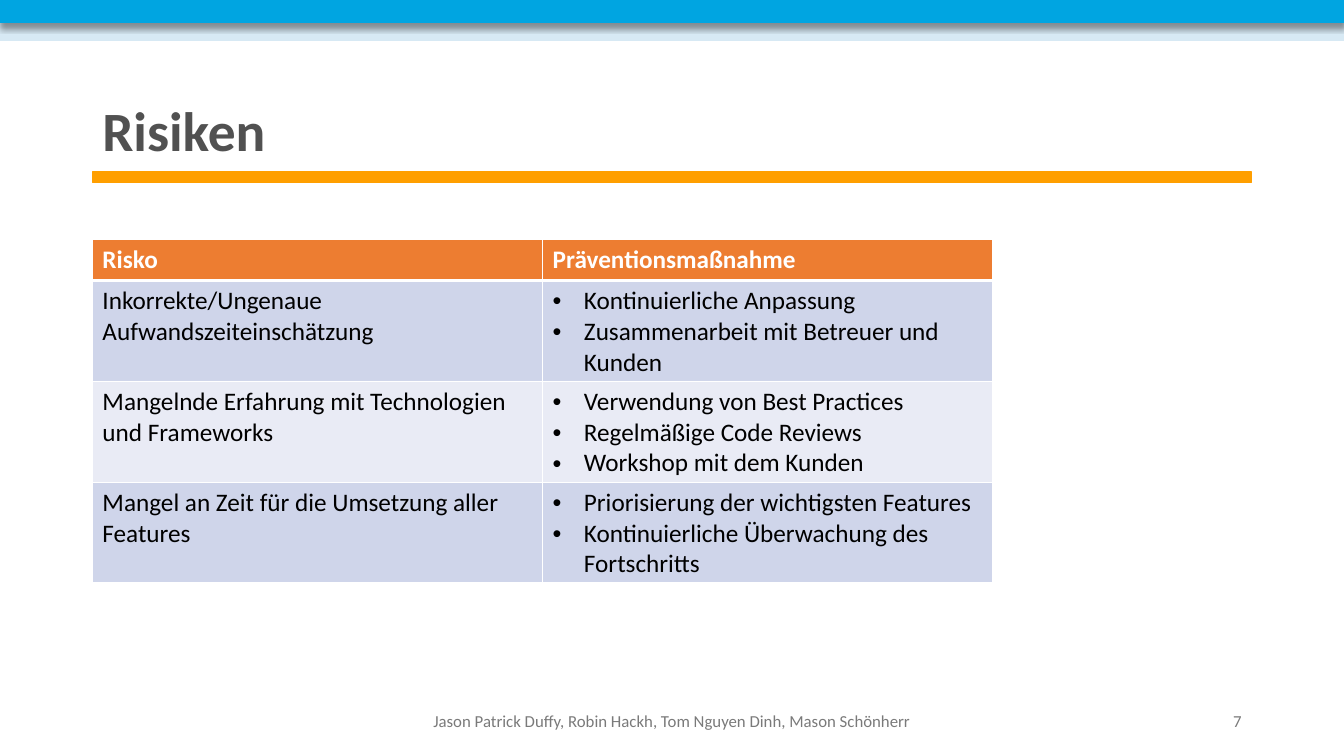
"""Build the risk slide with its table of preventive measures."""
from dataclasses import dataclass

from lxml.etree import SubElement
from pptx import Presentation
from pptx.dml.color import RGBColor
from pptx.enum.shapes import MSO_SHAPE
from pptx.enum.text import MSO_ANCHOR, PP_ALIGN
from pptx.oxml.ns import qn
from pptx.util import Inches, Pt

COLUMNS, ROWS = 160, 90
WIDTH, HEIGHT = Inches(13.33), Inches(7.5)


@dataclass(frozen=True)
class Theme:
    """Hold the font, colours and type sizes of the slide."""
    font: str = "Calibri"
    blue: str = "00A5E1"
    pale_blue: str = "D7E9F4"
    amber: str = "FF9F00"
    title: str = "515151"
    footer: str = "7A7A7A"
    header: str = "ED7D31"
    bands: tuple = ("CFD5EA", "E9EBF5")
    white: str = "FFFFFF"
    black: str = "000000"
    title_size: float = 39.6
    table_size: float = 18
    footer_size: float = 12


THEME = Theme()
HEADINGS = ("Risko", "Präventionsmaßnahme")
RISKS = (
    ("Inkorrekte/Ungenaue Aufwandszeiteinschätzung",
     ("Kontinuierliche Anpassung", "Zusammenarbeit mit Betreuer und Kunden")),
    ("Mangelnde Erfahrung mit Technologien und Frameworks",
     ("Verwendung von Best Practices", "Regelmäßige Code Reviews", "Workshop mit dem Kunden")),
    ("Mangel an Zeit für die Umsetzung aller Features",
     ("Priorisierung der wichtigsten Features", "Kontinuierliche Überwachung des Fortschritts")),
)


def across(columns):
    """Turn grid columns into a length."""
    return round(WIDTH * columns / COLUMNS)


def down(rows):
    """Turn grid rows into a length."""
    return round(HEIGHT * rows / ROWS)


def place(left, top, width, height):
    """Turn a grid area into position and size."""
    return across(left), down(top), across(width), down(height)


def apply_format(target, values):
    """Set each attribute of the target from the values."""
    for name, value in values.items():
        setattr(target, name, value)


def write_paragraph(paragraph, text, size, color, bold=False, **values):
    """Write one formatted run into the paragraph."""
    apply_format(paragraph, values)
    run = paragraph.add_run()
    run.text = text
    apply_format(run.font, {"name": THEME.font, "size": Pt(size), "bold": bold})
    run.font.color.rgb = RGBColor.from_string(color)


def add_bar(slide, area, color):
    """Add a plain coloured bar."""
    bar = slide.shapes.add_shape(MSO_SHAPE.RECTANGLE, *place(*area))
    bar.shadow.inherit = False
    bar.fill.solid()
    bar.fill.fore_color.rgb = RGBColor.from_string(color)
    bar.line.color.rgb = RGBColor.from_string(color)
    bar.line.width = Pt(1)
    return bar


def add_shadow(shape):
    """Cast a soft black shadow below the shape."""
    effects = shape._element.spPr.find(qn("a:effectLst"))
    shadow = SubElement(effects, qn("a:outerShdw"), blurRad=str(Pt(4)), dist=str(Pt(3)),
                        dir="5400000", algn="t", rotWithShape="0")
    color = SubElement(shadow, qn("a:srgbClr"), val=THEME.black)
    SubElement(color, qn("a:alpha"), val="40000")


def add_label(slide, area, text, size, color, **values):
    """Add a vertically centred line of text."""
    frame = slide.shapes.add_textbox(*place(*area)).text_frame
    apply_format(frame, {"word_wrap": True, "vertical_anchor": MSO_ANCHOR.MIDDLE})
    write_paragraph(frame.paragraphs[0], text, size, color, **values)


def add_bullet(paragraph):
    """Give the paragraph a hanging round bullet."""
    properties = paragraph._p.get_or_add_pPr()
    indent = Inches(0.31)
    properties.set("marL", str(indent))
    properties.set("indent", str(-indent))
    SubElement(properties, qn("a:buFont"), typeface="Arial")
    SubElement(properties, qn("a:buChar"), char="•")


def style_cell(cell, color, top, bottom):
    """Draw white cell borders and fill the cell."""
    properties = cell._tc.get_or_add_tcPr()
    for side, width in {"L": 1, "R": 1, "T": top, "B": bottom}.items():
        line = SubElement(properties, qn(f"a:ln{side}"), w=str(Pt(width)))
        SubElement(SubElement(line, qn("a:solidFill")), qn("a:srgbClr"), val=THEME.white)
    cell.fill.solid()
    cell.fill.fore_color.rgb = RGBColor.from_string(color)


def fill_cell(cell, texts, color, bold=False, bulleted=False):
    """Write the texts as paragraphs of the cell."""
    frame = cell.text_frame
    for index, text in enumerate(texts):
        paragraph = frame.add_paragraph() if index else frame.paragraphs[0]
        if bulleted:
            add_bullet(paragraph)
        write_paragraph(paragraph, text, THEME.table_size, color, bold)


def add_risk_table(slide, left, top, column_width, header_height, row_height):
    """Add the table of risks and measures."""
    area = place(left, top, 2 * column_width, header_height + len(RISKS) * row_height)
    table = slide.shapes.add_table(len(RISKS) + 1, 2, *area).table
    for column in table.columns:
        column.width = across(column_width)
    for index, row in enumerate(table.rows):
        row.height = down(row_height if index else header_height)
    for cell, heading in zip(table.rows[0].cells, HEADINGS):
        fill_cell(cell, [heading], THEME.white, bold=True)
        style_cell(cell, THEME.header, 1, 3)
    for index, (risk, measures) in enumerate(RISKS):
        cells = table.rows[index + 1].cells
        fill_cell(cells[0], [risk], THEME.black)
        fill_cell(cells[1], measures, THEME.black, bulleted=True)
        for cell in cells:
            style_cell(cell, THEME.bands[index % 2], 1 if index else 3, 1)


def main():
    """Build and save the presentation."""
    presentation = Presentation()
    apply_format(presentation, {"slide_width": WIDTH, "slide_height": HEIGHT})
    slide = presentation.slides.add_slide(presentation.slide_layouts[6])
    add_bar(slide, (0, 1.92, COLUMNS, 2.88), THEME.pale_blue)
    add_shadow(add_bar(slide, (0, 0, COLUMNS, 2.7), THEME.blue))
    add_bar(slide, (11, 20.5, 138, 1.2), THEME.amber)
    add_label(slide, (11, 11.76, 138, 8.28), "Risiken", THEME.title_size, THEME.title,
              bold=True, line_spacing=0.9)
    add_label(slide, (47, 83.4, 66, 4.8),
              "Jason Patrick Duffy, Robin Hackh, Tom Nguyen Dinh, Mason Schönherr",
              THEME.footer_size, THEME.footer, alignment=PP_ALIGN.CENTER)
    add_label(slide, (113, 83.4, 36, 4.8), "7", THEME.footer_size, THEME.footer,
              alignment=PP_ALIGN.RIGHT)
    add_risk_table(slide, 11, 28.5, 53.6, 4.9, 12)
    presentation.save("out.pptx")


if __name__ == "__main__":
    main()
